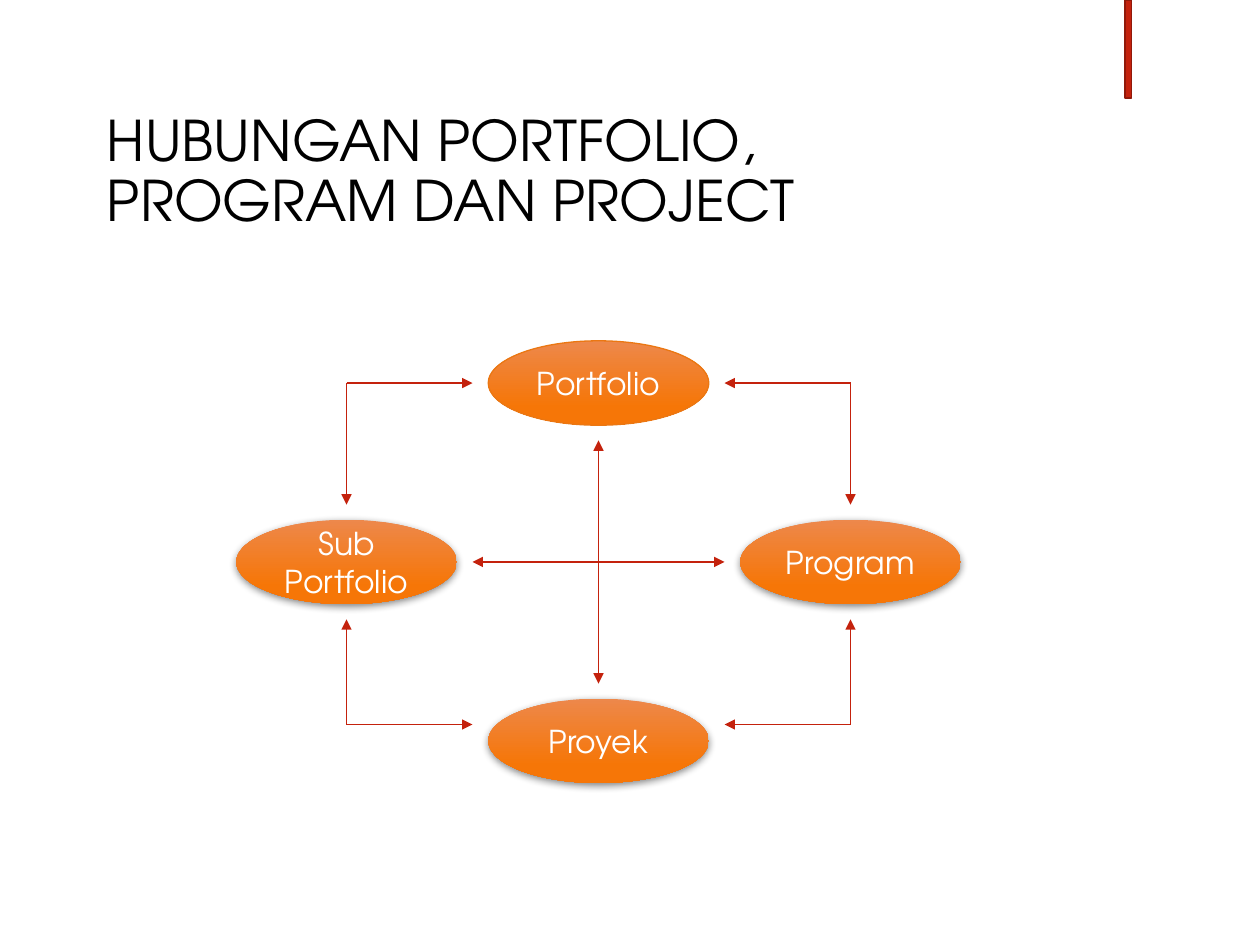
import pptx
import pptx.dml.color
import pptx.enum.shapes
import pptx.enum.text
import pptx.oxml
import pptx.oxml.ns
import pptx.util
from lxml import etree

Inches = pptx.util.Inches
Pt = pptx.util.Pt
RGBColor = pptx.dml.color.RGBColor
SHAPE = pptx.enum.shapes.MSO_SHAPE
qn = pptx.oxml.ns.qn

RED = RGBColor(0xC4, 0x22, 0x0D)
DARK_RED = RGBColor(0x91, 0x19, 0x0A)
LIGHT_ORANGE = RGBColor(0xED, 0x88, 0x4B)
ORANGE = RGBColor(0xF6, 0x76, 0x07)
RIM_ORANGE = RGBColor(0xEB, 0x77, 0x12)
BLACK = RGBColor(0, 0, 0)
WHITE = RGBColor(0xFF, 0xFF, 0xFF)
FONT = "TeX Gyre Adventor"

SHADOW = (
    '<a:outerShdw xmlns:a="http://schemas.openxmlformats.org/drawingml/2006/main"'
    ' blurRad="57150" dist="19050" dir="5400000" algn="ctr" rotWithShape="0">'
    '<a:srgbClr val="000000"><a:alpha val="48000"/></a:srgbClr></a:outerShdw>'
)

# Diagram grid: three columns and three rows of centres
LEFT, CENTRE, RIGHT = (2.75 + 2 * column for column in range(3))
TOP, MIDDLE, BOTTOM = (3.04 + 1.42 * row for row in range(3))
OVAL_W, OVAL_H = 1.75, 0.67
GAP = 0.12
REACH = 1.0  # horizontal distance from a column centre to an arrow tip
CLEAR = OVAL_H / 2 + GAP  # vertical distance from an oval centre to an arrow tip
ELBOW_Y = 5.75

prs = pptx.Presentation()
prs.slide_width, prs.slide_height = Inches(10), Inches(7.5)
slide = prs.slides.add_slide(prs.slide_layouts[6])


def add_arrow(start, end, both_ends=False):
    arrow = slide.shapes.add_connector(
        pptx.enum.shapes.MSO_CONNECTOR.STRAIGHT,
        *(Inches(value) for value in (*start, *end)))
    arrow.line.color.rgb = RED
    arrow.line.width = Pt(0.75)
    line = arrow.line._get_or_add_ln()
    if both_ends:
        etree.SubElement(line, qn("a:headEnd"), type="triangle")
    etree.SubElement(line, qn("a:tailEnd"), type="triangle")
    etree.SubElement(arrow._element.spPr, qn("a:effectLst"))


# Accent bar at the top edge
accent = slide.shapes.add_shape(
    SHAPE.RECTANGLE, Inches(8.93), 0, Inches(0.05), Inches(0.78))
accent.shadow.inherit = False
accent.fill.solid()
accent.fill.fore_color.rgb = RED
accent.line.color.rgb = DARK_RED
accent.line.width = Pt(1)

# Title
title = slide.shapes.add_textbox(
    Inches(0.75), Inches(0.67), Inches(8.69), Inches(1.41)).text_frame
title.word_wrap = True
title.vertical_anchor = pptx.enum.text.MSO_ANCHOR.MIDDLE
title.text = "HUBUNGAN PORTFOLIO,\vPROGRAM DAN PROJECT"
heading = title.paragraphs[0]
heading.line_spacing = 0.9
heading.font.name = FONT
heading.font.size = Pt(32)
heading.font.color.rgb = BLACK

# Crossing arrows between opposite ovals
add_arrow((CENTRE, TOP + CLEAR), (CENTRE, BOTTOM - CLEAR), both_ends=True)
add_arrow((LEFT + REACH, MIDDLE), (RIGHT - REACH, MIDDLE), both_ends=True)

# Ovals
for label, x, y, raised in (
    ("Portfolio", CENTRE, TOP, False),
    ("Proyek", CENTRE, BOTTOM, True),
    ("Program", RIGHT, MIDDLE, True),
    ("Sub Portfolio", LEFT, MIDDLE, True),
):
    oval = slide.shapes.add_shape(
        SHAPE.OVAL, Inches(x - OVAL_W / 2), Inches(y - OVAL_H / 2),
        Inches(OVAL_W), Inches(OVAL_H))
    oval.fill.gradient()
    oval.fill.gradient_angle = 270
    upper, lower = oval.fill.gradient_stops
    upper.color.rgb, upper.position = LIGHT_ORANGE, 0
    lower.color.rgb, lower.position = ORANGE, 0.78
    oval.shadow.inherit = False
    if raised:
        oval.line.fill.background()
        effects = oval._element.spPr.find(qn("a:effectLst"))
        effects.append(pptx.oxml.parse_xml(SHADOW))
    else:
        oval.line.color.rgb = RIM_ORANGE
        oval.line.width = Pt(0.75)

    oval.text_frame.word_wrap = True
    oval.text_frame.vertical_anchor = pptx.enum.text.MSO_ANCHOR.MIDDLE
    oval.text_frame.text = label
    caption = oval.text_frame.paragraphs[0]
    caption.alignment = pptx.enum.text.PP_ALIGN.CENTER
    caption.font.name = FONT
    caption.font.size = Pt(18)
    caption.font.color.rgb = WHITE

# Elbows around the outside: one arrow inward, one towards the side oval
for corner_y, tip_y in ((TOP, MIDDLE - CLEAR), (ELBOW_Y, MIDDLE + CLEAR)):
    for corner_x, inward in ((LEFT, REACH), (RIGHT, -REACH)):
        add_arrow((corner_x, corner_y), (corner_x + inward, corner_y))
        add_arrow((corner_x, corner_y), (corner_x, tip_y))

prs.save("out.pptx")
